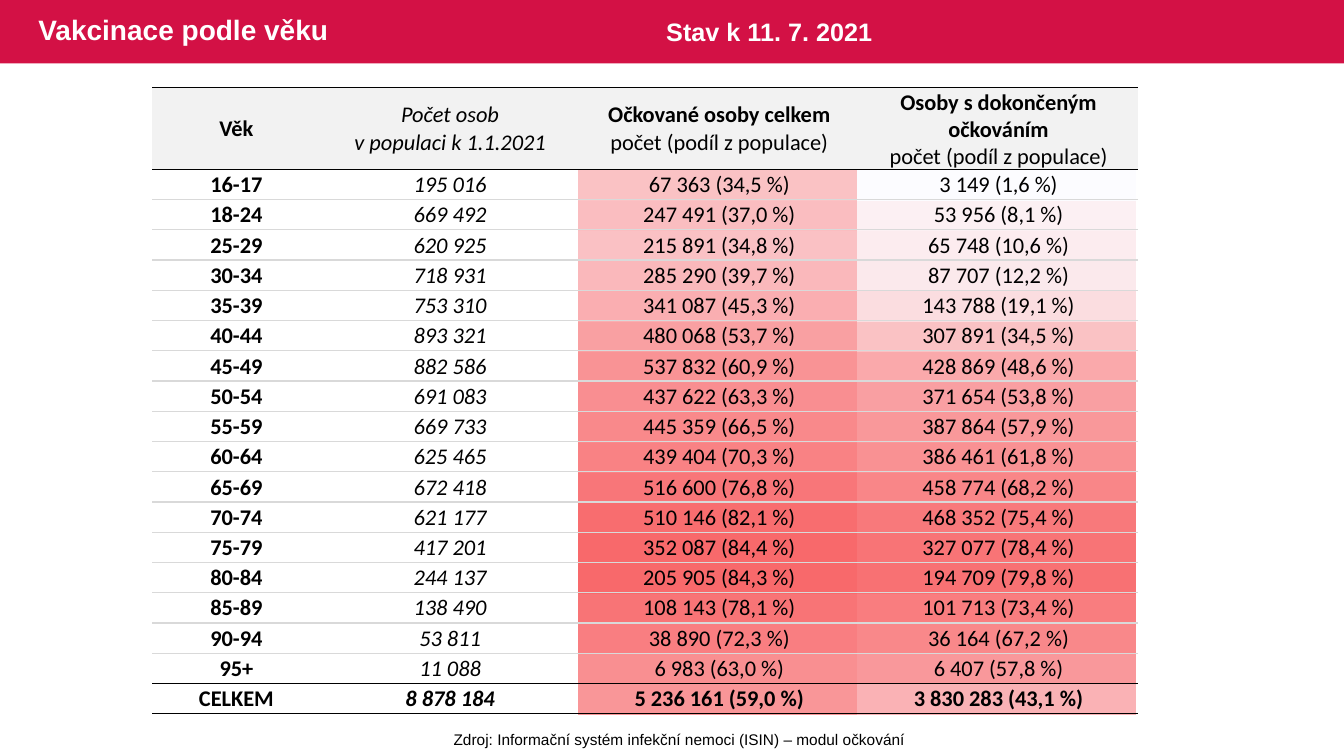
from lxml.etree import SubElement
from pptx import Presentation
from pptx.dml.color import RGBColor
from pptx.enum.shapes import MSO_SHAPE
from pptx.enum.text import MSO_ANCHOR, MSO_AUTO_SIZE, PP_ALIGN
from pptx.oxml.ns import qn
from pptx.util import Inches, Pt

CRIMSON = RGBColor(0xD3, 0x11, 0x45)
WHITE = RGBColor(0xFF, 0xFF, 0xFF)
BLACK = RGBColor(0x00, 0x00, 0x00)
HEADER_GRAY = RGBColor(0xF2, 0xF2, 0xF2)
LINE_GRAY = RGBColor(0xD9, 0xD9, 0xD9)
HEAT_LOW = RGBColor(0xFC, 0xFC, 0xFF)
HEAT_HIGH = RGBColor(0xF8, 0x69, 0x6B)

NO_STYLE = "{2D5ABB26-0587-4C30-8999-92F81FD0307C}"
COLUMN_WIDTHS = [1.67, 2.57, 2.77, 2.77]
HEADER_HEIGHT, ROW_HEIGHT = 0.8, 0.3

HEADERS = [
    "Věk",
    "Počet osob\nv populaci k 1.1.2021",
    "Očkované osoby celkem\npočet (podíl z populace)",
    "Osoby s dokončeným očkováním\npočet (podíl z populace)",
]
# Age group, population, vaccinated, share in %, fully vaccinated, share in %
AGE_GROUPS = [
    ("16-17", 195016, 67363, 34.5, 3149, 1.6),
    ("18-24", 669492, 247491, 37.0, 53956, 8.1),
    ("25-29", 620925, 215891, 34.8, 65748, 10.6),
    ("30-34", 718931, 285290, 39.7, 87707, 12.2),
    ("35-39", 753310, 341087, 45.3, 143788, 19.1),
    ("40-44", 893321, 480068, 53.7, 307891, 34.5),
    ("45-49", 882586, 537832, 60.9, 428869, 48.6),
    ("50-54", 691083, 437622, 63.3, 371654, 53.8),
    ("55-59", 669733, 445359, 66.5, 387864, 57.9),
    ("60-64", 625465, 439404, 70.3, 386461, 61.8),
    ("65-69", 672418, 516600, 76.8, 458774, 68.2),
    ("70-74", 621177, 510146, 82.1, 468352, 75.4),
    ("75-79", 417201, 352087, 84.4, 327077, 78.4),
    ("80-84", 244137, 205905, 84.3, 194709, 79.8),
    ("85-89", 138490, 108143, 78.1, 101713, 73.4),
    ("90-94", 53811, 38890, 72.3, 36164, 67.2),
    ("95+", 11088, 6983, 63.0, 6407, 57.8),
    ("CELKEM", 8878184, 5236161, 59.0, 3830283, 43.1),
]
SHARES = [(group[3], group[5]) for group in AGE_GROUPS]


def format_count(count):
    return f"{count:,}".replace(",", " ")


def format_share(count, share):
    return f"{format_count(count)} ({share:.1f} %)".replace(".", ",")


def heat_color(share):
    """Blend the two ends of the scale by the place of share between the extremes."""
    low = min(map(min, SHARES))
    high = max(map(max, SHARES))
    position = (share - low) / (high - low)
    return RGBColor(*(round(start + (end - start) * position)
                      for start, end in zip(HEAT_LOW, HEAT_HIGH)))


def format_runs(paragraph, size, font_name, color, bold=False, italic=False):
    for run in paragraph.runs:
        run.font.size = Pt(size)
        run.font.name = font_name
        run.font.color.rgb = color
        run.font.bold = bold
        run.font.italic = italic


def add_plain_table(slide, left, top, widths, heights):
    frame = slide.shapes.add_table(len(heights), len(widths), Inches(left), Inches(top),
                                   Inches(sum(widths)), Inches(sum(heights)))
    table = frame.table
    table.horz_banding = False
    table._tbl.tblPr.find(qn("a:tableStyleId")).text = NO_STYLE
    for column, width in zip(table.columns, widths):
        column.width = Inches(width)
    for row, height in zip(table.rows, heights):
        row.height = Inches(height)
    for cell in table.iter_cells():
        cell.margin_left = cell.margin_right = cell.margin_top = Inches(0.01)
        cell.margin_bottom = 0
        cell.vertical_anchor = MSO_ANCHOR.MIDDLE
    return table


def add_border(cell, side, color):
    line = SubElement(cell._tc.get_or_add_tcPr(), qn(f"a:{side}"), w=str(Pt(1)))
    fill = SubElement(line, qn("a:solidFill"))
    SubElement(fill, qn("a:srgbClr"), val=str(color))


def add_heat_map(slide, left, top):
    table = add_plain_table(slide, left, top, COLUMN_WIDTHS[2:], [ROW_HEIGHT] * len(SHARES))
    table.first_row = False
    for row, shares in enumerate(SHARES):
        for column, share in enumerate(shares):
            cell = table.cell(row, column)
            cell.fill.solid()
            cell.fill.fore_color.rgb = heat_color(share)
            # The size of an empty paragraph keeps the row from growing
            SubElement(cell.text_frame.paragraphs[0]._p, qn("a:endParaRPr"), sz="1200")


def add_vaccination_table(slide, left, top):
    rows = [HEADERS] + [
        [age, format_count(population), format_share(first, first_share),
         format_share(complete, complete_share)]
        for age, population, first, first_share, complete, complete_share in AGE_GROUPS
    ]
    total = len(rows) - 1
    table = add_plain_table(slide, left, top, COLUMN_WIDTHS,
                            [HEADER_HEIGHT] + [ROW_HEIGHT] * total)
    for row, texts in enumerate(rows):
        for column, text in enumerate(texts):
            cell = table.cell(row, column)
            add_border(cell, "lnT", BLACK if row in (0, 1, total) else LINE_GRAY)
            add_border(cell, "lnB", BLACK if row in (0, total - 1, total) else LINE_GRAY)
            if row == 0:
                cell.fill.solid()
                cell.fill.fore_color.rgb = HEADER_GRAY
            else:
                cell.fill.background()
            cell.text_frame.text = text
            for index, paragraph in enumerate(cell.text_frame.paragraphs):
                paragraph.alignment = PP_ALIGN.CENTER
                heading = row == 0 and index == 0 and column != 1
                format_runs(paragraph, 16, "Calibri", BLACK,
                            bold=heading or column == 0 or row == total,
                            italic=column == 1)


def add_label(slide, left, top, width, height, text, size, color, bold=False,
              alignment=PP_ALIGN.LEFT, wrap=True):
    text_frame = slide.shapes.add_textbox(Inches(left), Inches(top), Inches(width),
                                          Inches(height)).text_frame
    text_frame.word_wrap = wrap
    text_frame.auto_size = MSO_AUTO_SIZE.SHAPE_TO_FIT_TEXT
    text_frame.text = text
    paragraph = text_frame.paragraphs[0]
    paragraph.alignment = alignment
    format_runs(paragraph, size, "Arial", color, bold)


def add_title_band(slide, width, height):
    band = slide.shapes.add_shape(MSO_SHAPE.RECTANGLE, 0, 0, Inches(width), Inches(height))
    band.shadow.inherit = False
    band.fill.solid()
    band.fill.fore_color.rgb = CRIMSON
    band.line.fill.background()
    title = slide.shapes.title
    title._element.addprevious(band._element)
    title.left, title.top = Inches(0.28), 0
    title.width, title.height = Inches(8.13), Inches(height)
    title.text_frame.text = "Vakcinace podle věku"
    title.text_frame.vertical_anchor = MSO_ANCHOR.MIDDLE
    paragraph = title.text_frame.paragraphs[0]
    paragraph.alignment = PP_ALIGN.LEFT
    paragraph.line_spacing = 0.9
    format_runs(paragraph, 20, "Arial", WHITE, bold=True)
    add_label(slide, 6.51, 0.11, 2.96, 0.4, "Stav k 11. 7. 2021", 18, WHITE, bold=True)


def main():
    presentation = Presentation()
    presentation.slide_width = Inches(13.33)
    presentation.slide_height = Inches(7.5)
    slide = presentation.slides.add_slide(presentation.slide_layouts[5])
    add_title_band(slide, 13.33, 0.63)
    add_heat_map(slide, 5.73, 1.69)
    add_label(slide, 4.39, 7.19, 4.7, 0.29,
              "Zdroj: Informační systém infekční nemoci (ISIN) – modul očkování",
              11, BLACK, alignment=PP_ALIGN.CENTER, wrap=False)
    add_vaccination_table(slide, 1.51, 0.87)
    presentation.save("out.pptx")


if __name__ == "__main__":
    main()
